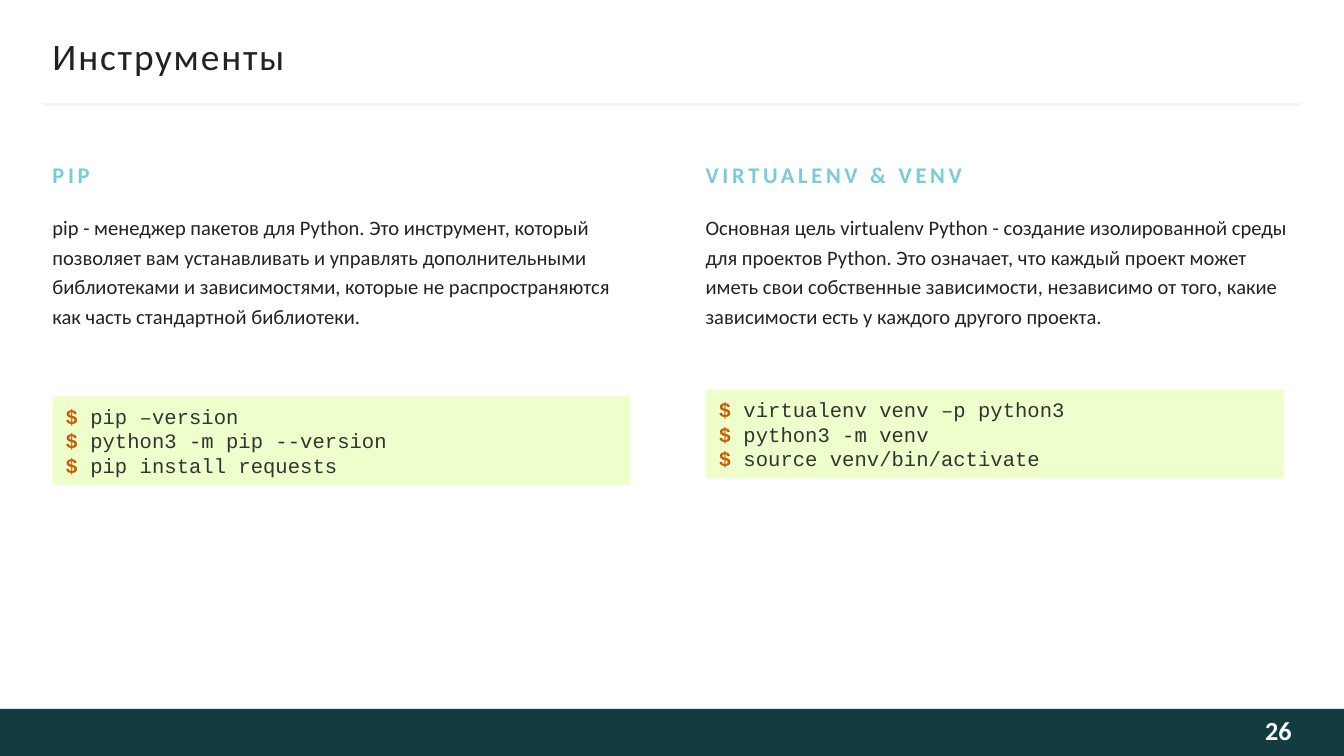
from lxml import etree
from pptx import Presentation
from pptx.dml.color import RGBColor
from pptx.enum.shapes import MSO_CONNECTOR, MSO_SHAPE
from pptx.enum.text import MSO_ANCHOR, PP_ALIGN
from pptx.oxml.ns import qn
from pptx.util import Inches, Pt

RECT = MSO_SHAPE.RECTANGLE
LINE = MSO_CONNECTOR.STRAIGHT
MID, TOP = MSO_ANCHOR.MIDDLE, MSO_ANCHOR.TOP
LEFT, RIGHT = PP_ALIGN.LEFT, PP_ALIGN.RIGHT
WIDE = 10
HIGH = WIDE * 9 / 16
EDGE, STEP, COL = 0.39, 4.86, 4.37
SANS, MONO = "Calibri", "Courier New"
DARK, TEAL, AQUA, PALE = "222222", "133C41", "76CDD8", "F5F5F5"
LIME, RUST, GREY, WHITE = "EEFFCC", "C65D09", "333333", "FEFEFE"

TOPICS = [
    ("PIP",
     "pip - менеджер пакетов для Python. Это инструмент, который позволяет "
     "вам устанавливать и управлять дополнительными библиотеками и "
     "зависимостями, которые не распространяются как часть стандартной "
     "библиотеки.",
     ["pip –version", "python3 -m pip --version", "pip install requests"],
     1.77),
    ("VIRTUALENV & VENV",
     "Основная цель virtualenv Python - создание изолированной среды для "
     "проектов Python. Это означает, что каждый проект может иметь свои "
     "собственные зависимости, независимо от того, какие зависимости есть "
     "у каждого другого проекта.",
     ["virtualenv venv –p python3", "python3 -m venv",
      "source venv/bin/activate"],
     1.72),
]


def color(code):
    """Turn a hex string into a colour."""
    return RGBColor.from_string(code)


def style(run, size, code, face=SANS, bold=False, gap=0):
    """Set the look of one run, with letter spacing in points."""
    font = run.font
    font.size, font.name, font.bold = Pt(size), face, bold
    font.color.rgb = color(code)
    if gap:
        run._r.get_or_add_rPr().set("spc", str(gap * 100))


def block(slide, box, fill):
    """Draw a plain filled rectangle."""
    shape = slide.shapes.add_shape(RECT, *map(Inches, box))
    shape.shadow.inherit = False
    shape.fill.solid()
    shape.fill.fore_color.rgb = color(fill)
    shape.line.fill.background()
    return shape


def label(slide, box, text, size, code, anchor=TOP, align=LEFT, lead=None,
          pad=0, **look):
    """Add a one-paragraph text box without side insets."""
    frame = slide.shapes.add_textbox(*map(Inches, box)).text_frame
    frame.word_wrap = True
    frame.vertical_anchor = anchor
    frame.margin_left = frame.margin_right = frame.margin_top = 0
    frame.margin_bottom = Inches(pad)
    frame.text = text
    para = frame.paragraphs[0]
    para.alignment = align
    if lead:
        para.line_spacing = Pt(lead)
    style(para.runs[0], size, code, **look)


def header(slide, box, text):
    """Place the title and the rule beneath it."""
    x, y, w, h = box
    label(slide, (x + EDGE, y + 0.25, w - 2 * EDGE, 0.33), text, 20, DARK,
          anchor=MID, gap=1)
    ends = (x + 0.32, y + h, x + w - 0.32, y + h)
    rule = slide.shapes.add_connector(LINE, *map(Inches, ends))
    rule.line.color.rgb = color(PALE)
    rule.line.width = Pt(1.5)
    etree.SubElement(rule._element.spPr, qn("a:effectLst"))


def code(slide, box, lines):
    """Show shell commands on a tinted panel."""
    frame = block(slide, box, LIME).text_frame
    frame.word_wrap = True
    frame.vertical_anchor = MID
    for i, line in enumerate(lines):
        para = frame.add_paragraph() if i else frame.paragraphs[0]
        para.alignment = LEFT
        for text, tint, bold in (("$ ", RUST, True), (line, GREY, False)):
            run = para.add_run()
            run.text = text
            style(run, 11, tint, MONO, bold)


def topic(slide, box, head, body, lines, drop):
    """Fill a column with a heading, a paragraph and commands."""
    x, y, w, h = box
    label(slide, (x, y, w, 0.38), head, 12, AQUA, lead=16, bold=True, gap=2)
    label(slide, (x, y + 0.38, w, h - 0.38), body, 11, DARK, lead=16)
    code(slide, (x, y + drop, 4.3, 0.66), lines)


def footer(slide, box, page):
    """Draw the bottom band with the page number."""
    x, y, w, h = box
    block(slide, box, TEAL)
    label(slide, (x + w - EDGE - 1.5, y, 1.5, h), page, 14, WHITE,
          anchor=MID, align=RIGHT, pad=0.04, bold=True)


def main():
    """Build and save the slide."""
    deck = Presentation()
    deck.slide_width, deck.slide_height = Inches(WIDE), Inches(HIGH)
    slide = deck.slides.add_slide(deck.slide_layouts[6])
    footer(slide, (0, HIGH - 0.35, WIDE, 0.35), "26")
    header(slide, (0, 0, WIDE, 0.78), "Инструменты")
    for i, parts in enumerate(TOPICS):
        topic(slide, (EDGE + i * STEP, 1.18, COL, 3.72), *parts)
    deck.save("out.pptx")


if __name__ == "__main__":
    main()
